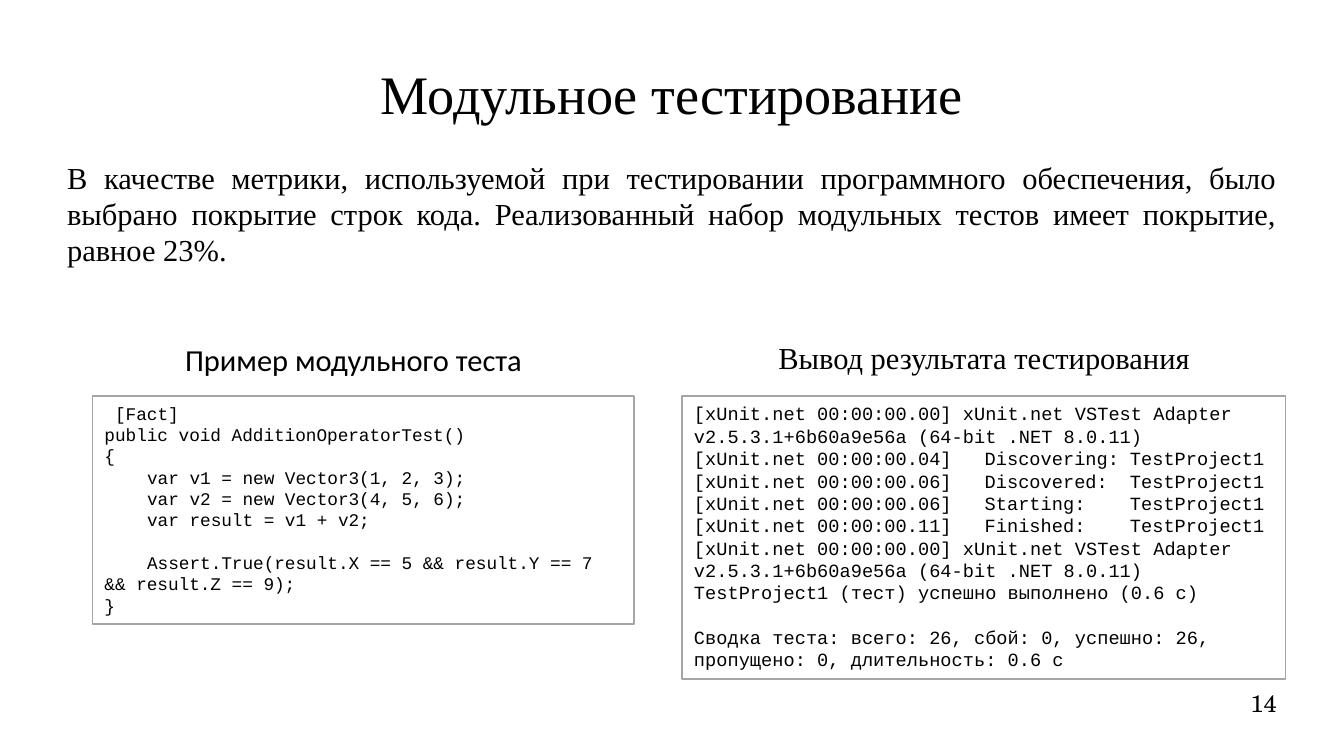
import dataclasses

import pptx
import pptx.dml.color
import pptx.enum.shapes
import pptx.enum.text
import pptx.oxml
import pptx.oxml.ns
import pptx.util

Pt = pptx.util.Pt
ALIGN = pptx.enum.text.PP_ALIGN
ANCHOR = pptx.enum.text.MSO_ANCHOR


@dataclasses.dataclass(frozen=True)
class Theme:
    ink: str = "000000"
    paper: str = "FFFFFF"
    border: str = "A5A5A5"
    serif: str = "Times New Roman"
    sans: str = "Calibri"
    mono: str = "Courier New"
    number_font: str = "TeX Gyre Schola"
    plain_table: str = "{2D5ABB26-0587-4C30-8999-92F81FD0307C}"
    title_size: float = 32
    body_size: float = 18
    number_size: float = 14
    code_size: float = 10.5
    log_size: float = 11
    body_leading: float = 21.4
    mono_leading: float = 1.2   # line height per point of type
    mono_advance: float = 0.6   # character width per point of type


THEME = Theme()


@dataclasses.dataclass
class Line:
    """One paragraph of a listing, measured in character columns."""
    text: str
    indent: int = 0
    blank_before: int = 0
    stops: tuple = ()


def color(value):
    return pptx.dml.color.RGBColor.from_string(value)


def write_text(frame, text, size=THEME.body_size, font=THEME.serif, align=ALIGN.LEFT,
               anchor=ANCHOR.TOP, inset=0, inset_y=0, leading=None):
    """Fill a frame with a string, or with a list of Line objects."""
    frame.word_wrap = True
    frame.auto_size = pptx.enum.text.MSO_AUTO_SIZE.NONE
    frame.vertical_anchor = anchor
    frame.margin_left = frame.margin_right = Pt(inset)
    frame.margin_top = frame.margin_bottom = Pt(inset_y)
    lines = [Line(text)] if isinstance(text, str) else text
    advance = size * THEME.mono_advance
    for index, line in enumerate(lines):
        paragraph = frame.add_paragraph() if index else frame.paragraphs[0]
        paragraph.alignment = align
        if leading:
            paragraph.line_spacing = Pt(leading)
        if line.blank_before:
            paragraph.space_before = Pt(line.blank_before * leading)
        properties = paragraph._p.get_or_add_pPr()
        if line.indent:
            properties.set("marL", "0")
            properties.set("indent", str(Pt(line.indent * advance)))
        if line.stops:
            stops = "".join(f'<a:tab pos="{Pt(stop * advance)}" algn="l"/>' for stop in line.stops)
            namespace = pptx.oxml.ns.nsdecls("a")
            properties.append(pptx.oxml.parse_xml(f"<a:tabLst {namespace}>{stops}</a:tabLst>"))
        run = paragraph.add_run()
        run.text = line.text
        run.font.size = Pt(size)
        run.font.name = font
        run.font.color.rgb = color(THEME.ink)


def add_label(slide, box, text, **text_format):
    label = slide.shapes.add_textbox(*map(Pt, box))
    write_text(label.text_frame, text, **text_format)


def add_title(slide, box, text):
    title = slide.shapes.title
    title.left, title.top, title.width, title.height = map(Pt, box)
    write_text(title.text_frame, text, size=THEME.title_size,
               align=ALIGN.CENTER, anchor=ANCHOR.MIDDLE)


def add_title_grid(slide, box):
    """Unfilled two-column table without borders."""
    grid = slide.shapes.add_table(1, 2, *map(Pt, box)).table
    grid.first_row = grid.horz_banding = False
    grid._tbl.tblPr.find(pptx.oxml.ns.qn("a:tableStyleId")).text = THEME.plain_table
    for cell in grid.iter_cells():
        cell.fill.background()


def add_listing(slide, box, lines, size):
    panel = slide.shapes.add_shape(pptx.enum.shapes.MSO_SHAPE.RECTANGLE, *map(Pt, box))
    panel.shadow.inherit = False
    panel.fill.solid()
    panel.fill.fore_color.rgb = color(THEME.paper)
    panel.line.color.rgb = color(THEME.border)
    panel.line.width = Pt(1)
    write_text(panel.text_frame, lines, size=size, font=THEME.mono, inset=7.2,
               inset_y=3.6, leading=size * THEME.mono_leading)


METRIC = ("В качестве метрики, используемой при тестировании программного обеспечения, "
          "было выбрано покрытие строк кода. Реализованный набор модульных тестов имеет "
          "покрытие, равное 23%.")

TEST_CODE = [
    Line("[Fact]", indent=1),
    Line("public void AdditionOperatorTest()"),
    Line("{"),
    Line("var v1 = new Vector3(1, 2, 3);", indent=4),
    Line("var v2 = new Vector3(4, 5, 6);", indent=4),
    Line("var result = v1 + v2;", indent=4),
    Line("Assert.True(result.X == 5 && result.Y == 7 && result.Z == 9);",
         indent=4, blank_before=1),
    Line("}"),
]

ADAPTER = ("[xUnit.net 00:00:00.00] xUnit.net VSTest Adapter "
           "v2.5.3.1+6b60a9e56a (64-bit .NET 8.0.11)")
STAGES = [("04", "Discovering:"), ("06", "Discovered:"), ("06", "Starting:"), ("11", "Finished:")]
TEST_LOG = [
    Line(ADAPTER),
    *(Line("\t".join((f"[xUnit.net 00:00:00.{time}]", stage, "TestProject1")), stops=(26, 39))
      for time, stage in STAGES),
    Line(f"{ADAPTER} TestProject1 (тест) успешно выполнено (0.6 с)"),
    Line("Сводка теста: всего: 26, сбой: 0, успешно: 26, пропущено: 0, "
         "длительность: 0.6 с", blank_before=1),
]


def build_testing_slide(deck, box):
    left, top, width, height = box
    slide = deck.slides.add_slide(deck.slide_layouts[5])

    # Title and metric
    add_title(slide, (left, top - 0.4, width, 75), "Модульное тестирование")
    add_label(slide, (left, top + 76, width, 124.6), METRIC,
              align=ALIGN.JUSTIFY, leading=THEME.body_leading)
    add_title_grid(slide, (left + 92.9, top + 28.8, 529.2, 29.5))

    # Headings of the listings
    add_label(slide, (left + 413.3, top + 182, 256.3, 30.2), "Вывод результата тестирования",
              align=ALIGN.CENTER)
    add_label(slide, (left + 62.6, top + 180, 224, 28.8), "Пример модульного теста",
              font=THEME.sans, inset=7.2, inset_y=3.6)

    # Test example and its output
    listing_top = top + 216
    add_listing(slide, (left + 15, listing_top, 319.7, 134.6), TEST_CODE, THEME.code_size)
    add_listing(slide, (left + 363, listing_top, 356.4, 167), TEST_LOG, THEME.log_size)

    # Slide number
    add_label(slide, (left + width - 185, top + height - 31, 185, 31), "14",
              size=THEME.number_size, font=THEME.number_font, align=ALIGN.RIGHT)


def main():
    deck = pptx.Presentation()
    deck.slide_width, deck.slide_height = Pt(793.44), Pt(446.4)
    build_testing_slide(deck, (39.6, 18, 714.2, 419.8))
    deck.save("out.pptx")


if __name__ == "__main__":
    main()
